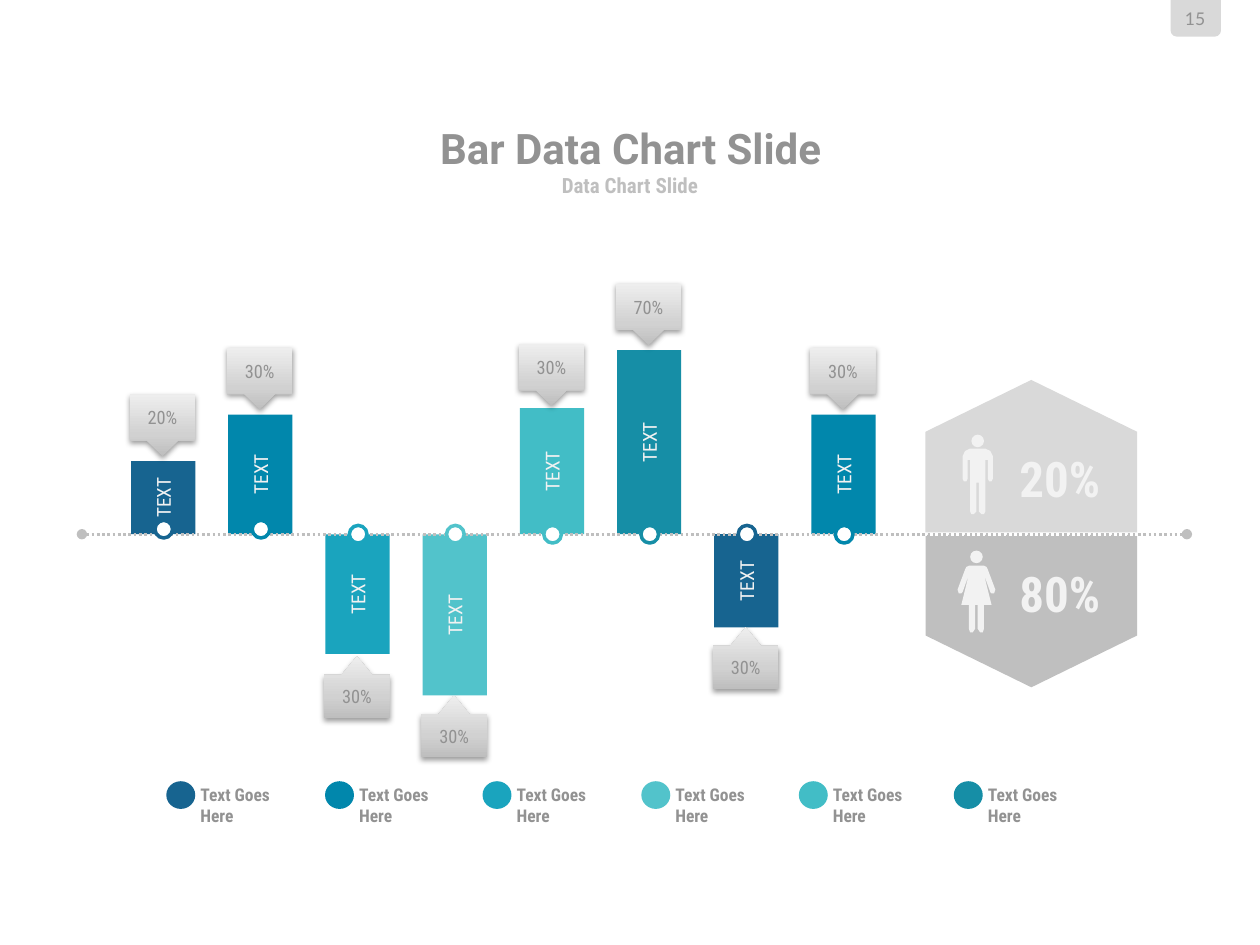
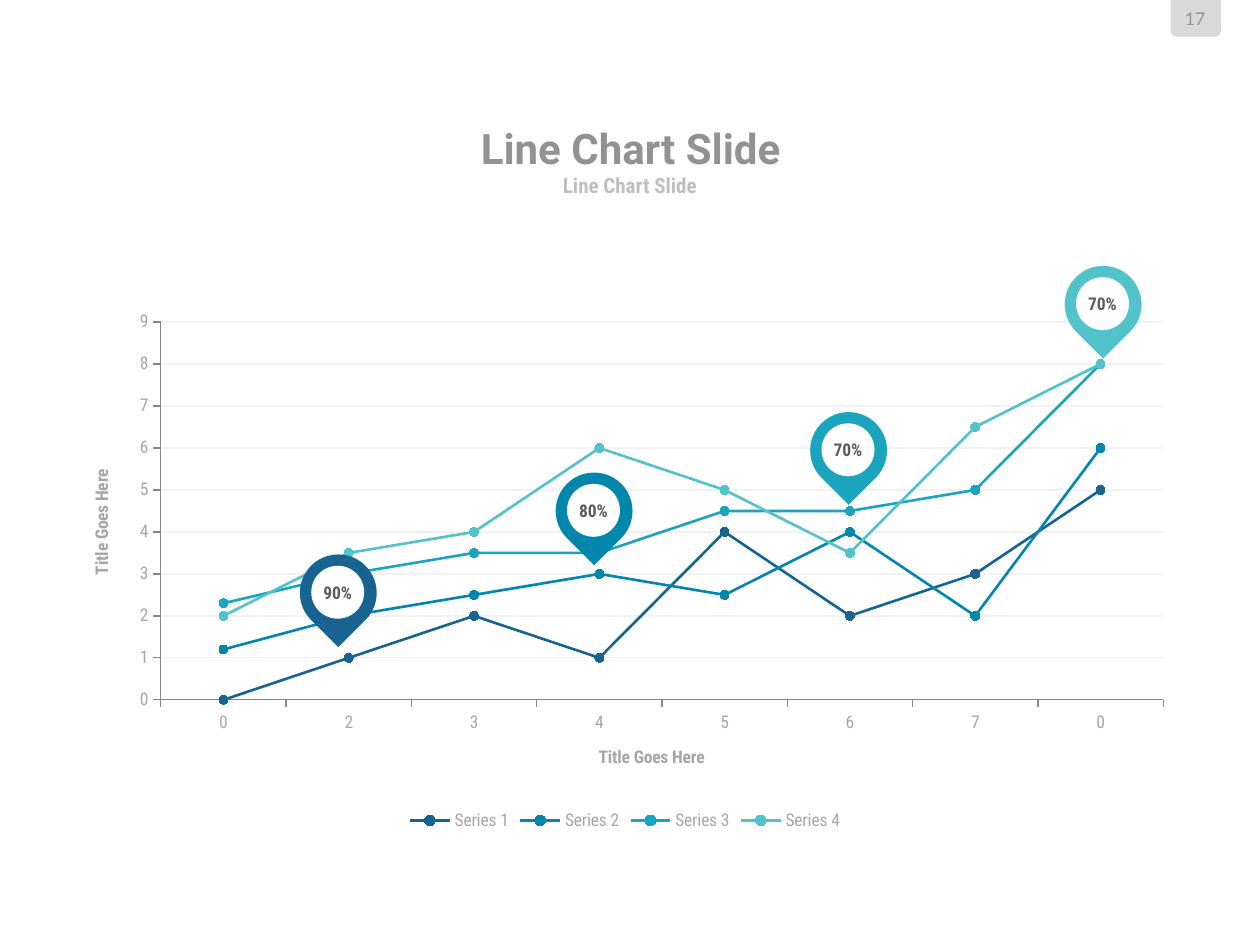
import dataclasses

import pptx
import pptx.chart.data
import pptx.dml.color
import pptx.enum.chart
import pptx.enum.dml
import pptx.enum.shapes
import pptx.enum.text
import pptx.oxml
import pptx.oxml.ns
import pptx.util

Inches = pptx.util.Inches
Pt = pptx.util.Pt
qn = pptx.oxml.ns.qn
SHAPE = pptx.enum.shapes.MSO_SHAPE
ALIGN = pptx.enum.text.PP_ALIGN
ANCHOR = pptx.enum.text.MSO_ANCHOR

COLOURS = {
    "navy": "176490", "blue": "0187AC", "cyan": "1AA4BE", "aqua": "52C3CB",
    "turquoise": "42BDC6", "teal": "168EA6", "white": "FFFFFF", "pale": "F2F2F2",
    "light": "D9D9D9", "silver": "BFBFBF", "label": "A6A6A6", "grey": "929292",
    "axis": "868686", "dark": "5C5C5C",
}
CONDENSED = "Roboto Condensed"
BASELINE = 4.24
BAR_WIDTH = 0.51
DRAWING = 'xmlns:a="http://schemas.openxmlformats.org/drawingml/2006/main"'
CALLOUT_FILL = f"""<a:gradFill {DRAWING} rotWithShape="1"><a:gsLst>
<a:gs pos="0"><a:srgbClr val="BEBEBE"/></a:gs>
<a:gs pos="35000"><a:srgbClr val="D1D1D1"/></a:gs>
<a:gs pos="100000"><a:srgbClr val="EEEEEE"/></a:gs>
</a:gsLst><a:lin ang="16200000" scaled="0"/></a:gradFill>"""
CALLOUT_SHADOW = f"""<a:outerShdw {DRAWING} blurRad="40000" dist="20000" dir="5400000"
rotWithShape="0"><a:srgbClr val="000000"><a:alpha val="38000"/></a:srgbClr></a:outerShdw>"""
PLOT_LAYOUT = """<c:layout xmlns:c="http://schemas.openxmlformats.org/drawingml/2006/chart">
<c:manualLayout><c:layoutTarget val="inner"/><c:xMode val="edge"/><c:yMode val="edge"/>
<c:x val="0.087"/><c:y val="0.037"/><c:w val="0.892"/><c:h val="0.709"/>
</c:manualLayout></c:layout>"""


@dataclasses.dataclass
class TextStyle:
    size: float
    colour: str
    bold: bool = False
    face: str = CONDENSED


@dataclasses.dataclass
class Bar:
    height: float  # negative bars hang below the baseline
    colour: str
    share: str
    callout_top: float
    ring_top: float = 4.17


@dataclasses.dataclass
class Key:
    left: float
    colour: str


@dataclasses.dataclass
class Half:
    plate_top: float
    turn: int
    fill: str
    share: str
    share_top: float
    head_left: float
    head_top: float
    centre: float
    outline: list[tuple[float, float]]  # half-width and height, top to crotch


@dataclasses.dataclass
class Pin:
    left: float
    top: float
    colour: str
    share: str


@dataclasses.dataclass
class Line:
    colour: str
    values: tuple[float, ...]


TITLE = TextStyle(24, "grey", True, "Roboto")
SUBTITLE = TextStyle(12, "silver", True)
PAGE_NUMBER = TextStyle(10, "grey", face="Lato")
BAR_TEXT = TextStyle(11, "pale")
CALLOUT_TEXT = TextStyle(10.5, "grey")
KEY_TEXT = TextStyle(10, "grey", True)
SHARE_TEXT = TextStyle(28, "pale", True)
PIN_TEXT = TextStyle(10, "dark", True)
CHART_TEXT = TextStyle(10, "label")
AXIS_TITLE = TextStyle(10, "label", True)

BARS = [
    Bar(0.58, "navy", "20%", 3.13, 4.13),
    Bar(0.95, "blue", "30%", 2.76, 4.13),
    Bar(-0.95, "cyan", "30%", 5.21),
    Bar(-1.28, "aqua", "30%", 5.52),
    Bar(1.0, "turquoise", "30%", 2.73),
    Bar(1.46, "teal", "70%", 2.25),
    Bar(-0.74, "navy", "30%", 4.98),
    Bar(0.95, "blue", "30%", 2.76),
]
KEYS = [Key(1.32, "navy"), Key(2.58, "blue"), Key(3.83, "cyan"),
        Key(5.09, "aqua"), Key(6.34, "turquoise"), Key(7.57, "teal")]
HALVES = [
    Half(4.01, 90, "silver", "80%", 4.47, 7.7, 4.37, 7.75,
         [(0.06, 4.49), (0.08, 4.5), (0.09, 4.52), (0.15, 4.68), (0.14, 4.71),
          (0.12, 4.71), (0.11, 4.7), (0.06, 4.56), (0.12, 4.8), (0.06, 4.8),
          (0.06, 4.99), (0.05, 5.02), (0.03, 5.02), (0.01, 4.99), (0.01, 4.8)]),
    Half(2.78, 270, "light", "20%", 3.56, 7.71, 3.45, 7.76,
         [(0.06, 3.56), (0.1, 3.58), (0.12, 3.62), (0.12, 3.8), (0.11, 3.82),
          (0.09, 3.82), (0.08, 3.8), (0.08, 3.65), (0.06, 3.65), (0.06, 4.06),
          (0.05, 4.08), (0.03, 4.08), (0.01, 4.06), (0.01, 3.83)]),
]
PINS = [Pin(2.38, 4.4, "navy", "90%"), Pin(4.41, 3.75, "blue", "80%"),
        Pin(6.43, 3.27, "cyan", "70%"), Pin(8.45, 2.11, "aqua", "70%")]
CATEGORIES = ["0", "2", "3", "4", "5", "6", "7", "0"]
LINES = [
    Line("navy", (0, 1, 2, 1, 4, 2, 3, 5)),
    Line("blue", (1.2, 2, 2.5, 3, 2.5, 4, 2, 6)),
    Line("cyan", (2.3, 3, 3.5, 3.5, 4.5, 4.5, 5, 8)),
    Line("aqua", (2, 3.5, 4, 6, 5, 3.5, 6.5, 8)),
]


def rgb(name: str) -> pptx.dml.color.RGBColor:
    return pptx.dml.color.RGBColor.from_string(COLOURS[name])


def style_font(font, style: TextStyle) -> None:
    font.name = style.face
    font.size = Pt(style.size)
    font.bold = style.bold
    font.color.rgb = rgb(style.colour)


def write(shape, text: str, style: TextStyle, align=ALIGN.CENTER,
          anchor=ANCHOR.MIDDLE, inset: float = 0, wrap: bool = True) -> None:
    frame = shape.text_frame
    frame.word_wrap = wrap
    frame.vertical_anchor = anchor
    frame.margin_left = frame.margin_right = Inches(inset)
    frame.margin_top = frame.margin_bottom = Inches(inset / 2)
    para = frame.paragraphs[0]
    para.text = text
    para.alignment = align
    style_font(para.font, style)


def add_text(page, left: float, top: float, width: float, height: float,
             text: str, style: TextStyle, **layout) -> None:
    box = page.shapes.add_textbox(Inches(left), Inches(top), Inches(width), Inches(height))
    write(box, text, style, **layout)


def paint(shape, fill: str) -> None:
    shape.shadow.inherit = False
    shape.fill.solid()
    shape.fill.fore_color.rgb = rgb(fill)
    shape.line.fill.background()


def add_shape(page, kind, left: float, top: float, width: float, height: float,
              fill: str, turn: int = 0):
    shape = page.shapes.add_shape(kind, Inches(left), Inches(top), Inches(width), Inches(height))
    paint(shape, fill)
    shape.rotation = turn
    return shape


def add_dotted_line(page, start: float, end: float, colour: str, ends: bool = False) -> None:
    line = page.shapes.add_connector(pptx.enum.shapes.MSO_CONNECTOR.STRAIGHT, Inches(start),
                                     Inches(BASELINE), Inches(end), Inches(BASELINE))
    line.line.color.rgb = rgb(colour)
    line.line.width = Pt(1.5)
    line.line.dash_style = pptx.enum.dml.MSO_LINE.ROUND_DOT
    properties = line._element.spPr
    if ends:
        for tag in ("headEnd", "tailEnd"):
            properties.find(qn("a:ln")).append(
                pptx.oxml.parse_xml(f'<a:{tag} {DRAWING} type="oval"/>'))
    properties.append(pptx.oxml.parse_xml(f"<a:effectLst {DRAWING}/>"))


def add_page(deck, number: str, title: str, subtitle: str):
    page = deck.slides.add_slide(deck.slide_layouts[6])
    add_shape(page, SHAPE.ROUND_2_SAME_RECTANGLE, 9.29, 0, 0.4, 0.29, "light", 180)
    add_text(page, 9.32, 0.06, 0.33, 0.17, number, PAGE_NUMBER)
    add_text(page, 1.92, 0.98, 6.17, 0.39, title, TITLE)
    add_text(page, 2.75, 1.36, 4.5, 0.22, subtitle, SUBTITLE)
    return page


def bar_left(index: int) -> float:
    return 1.04 + index * 5.4 / 7


def add_bar(page, index: int, bar: Bar) -> None:
    top = BASELINE - max(bar.height, 0)
    shape = add_shape(page, SHAPE.RECTANGLE, bar_left(index), top,
                      BAR_WIDTH, abs(bar.height), bar.colour)
    write(shape, "TEXT", BAR_TEXT, inset=0.1)
    shape.text_frame._txBody.find(qn("a:bodyPr")).set("vert", "vert270")


def add_ring(page, index: int, bar: Bar) -> None:
    ring = add_shape(page, SHAPE.OVAL, bar_left(index) + 0.19, bar.ring_top, 0.14, 0.14, "white")
    ring.line.color.rgb = rgb(bar.colour)
    ring.line.width = Pt(2)


def add_callout(page, index: int, bar: Bar) -> None:
    rising = bar.height > 0
    kind = SHAPE.DOWN_ARROW_CALLOUT if rising else SHAPE.UP_ARROW_CALLOUT
    callout = add_shape(page, kind, bar_left(index) - 0.01, bar.callout_top, 0.52, 0.49, "light")
    adjustments = (0.25, 0.25, 0.25, 0.75) if rising else (0.5, 0.25, 0.3, 0.7)
    for position, value in enumerate(adjustments):
        callout.adjustments[position] = value
    properties = callout._element.spPr
    properties.replace(properties.find(qn("a:solidFill")), pptx.oxml.parse_xml(CALLOUT_FILL))
    properties.find(qn("a:effectLst")).append(pptx.oxml.parse_xml(CALLOUT_SHADOW))
    write(callout, bar.share, CALLOUT_TEXT, inset=0.1)


def add_key(page, key: Key) -> None:
    add_text(page, key.left + 0.27, 6.22, 0.75, 0.34, "Text Goes Here", KEY_TEXT,
             align=ALIGN.LEFT, anchor=ANCHOR.TOP)
    add_shape(page, SHAPE.OVAL, key.left, 6.2, 0.23, 0.22, key.colour)


def add_half(page, half: Half) -> None:
    plate = add_shape(page, SHAPE.PENTAGON, 7.58, half.plate_top, 1.21, 1.68, half.fill, half.turn)
    plate.adjustments[0] = 0.34
    add_shape(page, SHAPE.OVAL, half.head_left, half.head_top, 0.1, 0.1, "pale")
    right = [(Inches(half.centre + x), Inches(y)) for x, y in half.outline]
    left = [(Inches(half.centre - x), Inches(y)) for x, y in reversed(half.outline)]
    builder = page.shapes.build_freeform(*right[0])
    builder.add_line_segments(right[1:] + left, close=True)
    paint(builder.convert_to_shape(), "pale")
    add_text(page, 8.09, half.share_top, 0.65, 0.47, half.share, SHARE_TEXT,
             align=ALIGN.LEFT, anchor=ANCHOR.TOP, wrap=False)


def add_pin(page, pin: Pin) -> None:
    add_shape(page, SHAPE.TEAR, pin.left, pin.top, 0.61, 0.61, pin.colour, 135)
    face = add_shape(page, SHAPE.OVAL, pin.left + 0.09, pin.top + 0.09, 0.42, 0.42, "white")
    write(face, pin.share, PIN_TEXT)


def style_axis(axis):
    axis.major_tick_mark = pptx.enum.chart.XL_TICK_MARK.OUTSIDE
    axis.minor_tick_mark = pptx.enum.chart.XL_TICK_MARK.NONE
    axis.format.line.color.rgb = rgb("axis")
    axis.format.line.width = Pt(0.75)
    frame = axis.axis_title.text_frame
    frame.text = "Title Goes Here"
    style_font(frame.paragraphs[0].font, AXIS_TITLE)
    return frame._txBody.find(qn("a:bodyPr"))


def add_line_chart(page) -> None:
    data = pptx.chart.data.CategoryChartData()
    data.categories = CATEGORIES
    for number, line in enumerate(LINES, 1):
        data.add_series(f"Series {number}", line.values)
    chart = page.shapes.add_chart(pptx.enum.chart.XL_CHART_TYPE.LINE_MARKERS, Inches(0.5),
                                  Inches(2.4), Inches(8.92), Inches(4.23), data).chart
    style_font(chart.font, CHART_TEXT)
    chart.has_title = False
    chart.has_legend = True
    chart.legend.position = pptx.enum.chart.XL_LEGEND_POSITION.BOTTOM
    chart.legend.include_in_layout = False
    chart.plots[0].vary_by_categories = False
    # Axes
    style_axis(chart.category_axis)
    chart.category_axis.tick_label_position = pptx.enum.chart.XL_TICK_LABEL_POSITION.LOW
    values = chart.value_axis
    style_axis(values).set("rot", "-5400000")
    values.minimum_scale, values.maximum_scale, values.major_unit = 0, 9, 1
    values.major_gridlines.format.line.color.rgb = rgb("pale")
    values.major_gridlines.format.line.width = Pt(0.75)
    # Series
    for series, line in zip(chart.plots[0].series, LINES):
        series.smooth = False
        series.format.line.color.rgb = rgb(line.colour)
        series.format.line.width = Pt(1.5)
        series.marker.style = pptx.enum.chart.XL_MARKER_STYLE.CIRCLE
        series.marker.size = 5
        series.marker.format.fill.solid()
        series.marker.format.fill.fore_color.rgb = rgb(line.colour)
        series.marker.format.line.color.rgb = rgb(line.colour)
    # Fixed plot area
    area = chart._chartSpace.find(f".//{qn('c:plotArea')}")
    for layout in area.findall(qn("c:layout")):
        area.remove(layout)
    area.insert(0, pptx.oxml.parse_xml(PLOT_LAYOUT))


def main() -> None:
    deck = pptx.Presentation()
    deck.slide_width, deck.slide_height = Inches(10), Inches(7.5)

    # Bars around a baseline
    page = add_page(deck, "15", "Bar Data Chart Slide", "Data Chart Slide")
    for index, bar in enumerate(BARS):
        add_bar(page, index, bar)
    add_dotted_line(page, 0.65, 9.42, "silver", ends=True)
    for draw in (add_ring, add_callout):
        for index, bar in enumerate(BARS):
            draw(page, index, bar)
    for key in KEYS:
        add_key(page, key)
    for half in HALVES:
        add_half(page, half)
    add_dotted_line(page, 7.34, 9.03, "white")

    # Line chart with pins
    page = add_page(deck, "17", "Line Chart Slide", "Line Chart Slide")
    add_line_chart(page)
    for pin in PINS:
        add_pin(page, pin)

    deck.save("out.pptx")


if __name__ == "__main__":
    main()
